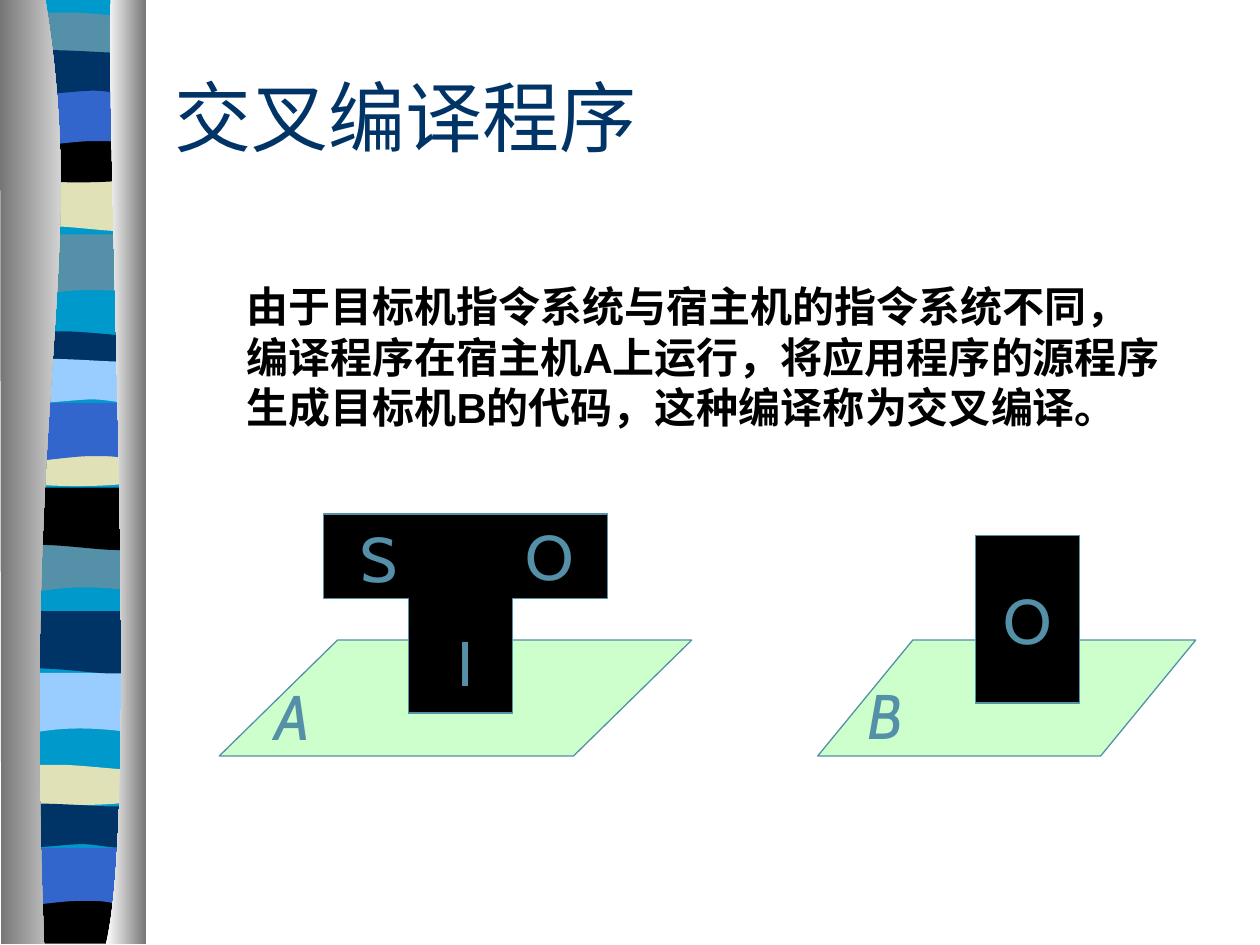
from lxml.etree import SubElement
from pptx import Presentation
from pptx.dml.color import RGBColor
from pptx.enum.shapes import MSO_SHAPE
from pptx.enum.text import MSO_ANCHOR, MSO_AUTO_SIZE, PP_ALIGN
from pptx.oxml.ns import qn
from pptx.util import Inches, Pt

COLORS = {
    "cyan": "0099CC", "steel": "5490A8", "sand": "E1E1B7", "black": "000000",
    "blue": "3366CC", "navy": "003366", "sky": "99CCFF", "mint": "CCFFCC",
    "gray": "767676", "white": "FFFFFF",
}

BAND = 0.97
WAVES = {
    "curl": [(0, 0), (BAND, 0), (BAND, 0.47), (0.3, 0.38, 0.16, 0.54, 0, 0.47)],
    "flag": [(0, 0), (BAND, 0), (BAND, 0.47), (0.81, 0.55, 0.3, 0.41, 0, 0.47)],
    "ripple": [(BAND, 0), (BAND, 0.25), (0.81, 0.29, 0.16, 0.29, 0, 0.25), (0, 0),
               (0.07, -0.04, 0.21, -0.04, 0.38, -0.04), (0.54, -0.04, 0.85, 0, BAND, 0)],
    "hollow": [(BAND, 0), (BAND, 0.33), (0.81, 0.38, 0.16, 0.38, 0, 0.33), (0, 0),
               (0.6, 0.05, 0.77, 0, BAND, 0)],
    "arch": [(0, 0), (BAND, 0), (BAND, 0.47), (0.82, 0.42, 0.76, 0.42, 0.6, 0.42),
             (0.44, 0.42, 0.15, 0.47, 0, 0.47)],
    "swell": [(BAND, 0), (BAND, 0.3), (0.91, 0.36, 0.76, 0.3, 0.6, 0.3),
              (0.44, 0.3, 0.1, 0.36, 0, 0.3), (0, 0),
              (0.14, -0.05, 0.66, 0, 0.82, 0), (0.98, 0, 0.94, 0, BAND, 0)],
    "end": [(BAND, 0), (BAND, 0.37), (0, 0.37), (0, 0), (0.59, 0.05, 0.76, 0, BAND, 0)],
}
RIBBON = [
    ("curl", "steel", 0.14, 1.86), ("flag", "sand", 0.18, 1.34),
    ("ripple", "steel", 0.18, 0.14), ("hollow", "black", 0.14, 1.08),
    ("arch", "blue", 0.14, 0.7), ("swell", "navy", 0.14, 0.42),
    ("curl", "steel", 0.09, 4.22), ("flag", "black", 0.13, 3.87),
    ("ripple", "navy", 0.13, 2.67), ("hollow", "sand", 0.13, 3.49),
    ("arch", "blue", 0.13, 3.2), ("swell", "sky", 0.13, 2.87),
    ("curl", "sky", 0.05, 5.34), ("flag", "navy", 0.1, 4.85),
    ("ripple", "sand", 0.09, 6.11), ("end", "black", 0.09, 7.12),
    ("arch", "blue", 0.04, 6.73), ("swell", "navy", 0.05, 6.4),
]
LEFT_CURTAIN = [(0.36, 0), (0.71, 2.16, 0.17, 2.96, 0.35, 7.49), (0.01, 7.49), (0, 0)]
RIGHT_CURTAIN = [(0.88, 0), (0.84, 1.25, 1.11, 6.46, 0.84, 7.49), (1.16, 7.49), (1.16, 0)]
T_DIAGRAM = [(2.57, 4.08), (2.57, 4.75), (3.24, 4.75), (3.24, 5.66),
             (4.07, 5.66), (4.07, 4.75), (4.82, 4.75), (4.82, 4.08)]


def rgb(color):
    return RGBColor.from_string(COLORS[color])


def bend(shape, parts):
    segments = iter(list(shape._element.iter(qn("a:lnTo"))))
    for part in parts[1:]:
        first = next(segments)
        if len(part) == 2:
            continue
        curve = SubElement(first.getparent(), qn("a:cubicBezTo"))
        first.addprevious(curve)
        for segment in (first, next(segments), next(segments)):
            curve.append(segment[0])
            segment.getparent().remove(segment)


class SlideBuilder:
    font = "Cabin"
    letter_size = 36
    accent = "steel"

    def __init__(self, slide):
        self.slide = slide

    def paint(self, shape, fill, outlined):
        shape.shadow.inherit = False
        if isinstance(fill, tuple):
            shape.fill.gradient()
            shape.fill.gradient_angle = 0
            for stop, color in zip(shape.fill.gradient_stops, fill):
                stop.color.rgb = rgb(color)
        else:
            shape.fill.solid()
            shape.fill.fore_color.rgb = rgb(fill)
        if outlined:
            shape.line.color.rgb = rgb(self.accent)
            shape.line.width = Pt(0.75)
        else:
            shape.line.fill.background()

    def outline(self, parts, fill, left=0, top=0, outlined=False):
        points = [(Inches(left + x), Inches(top + y))
                  for part in parts for x, y in zip(part[::2], part[1::2])]
        builder = self.slide.shapes.build_freeform(*points[0])
        builder.add_line_segments(points[1:], close=True)
        shape = builder.convert_to_shape()
        bend(shape, parts)
        self.paint(shape, fill, outlined)

    def preset(self, kind, box, fill, slant=None):
        shape = self.slide.shapes.add_shape(kind, *map(Inches, box))
        if slant is not None:
            shape.adjustments[0] = slant
        self.paint(shape, fill, True)
        return shape

    def run(self, paragraph, text, size, font, color, bold=False, italic=False):
        run = paragraph.add_run()
        run.text = text
        run.font.size = Pt(size)
        run.font.name = font
        run.font.bold = bold
        run.font.italic = italic
        run.font.color.rgb = rgb(color)

    def fill_letter(self, frame, letter, italic=False):
        frame.word_wrap = False
        frame.vertical_anchor = MSO_ANCHOR.MIDDLE
        paragraph = frame.paragraphs[0]
        paragraph.alignment = PP_ALIGN.CENTER
        self.run(paragraph, letter, self.letter_size, self.font, self.accent, italic=italic)

    def letter(self, letter, left, top, width, italic=False):
        box = self.slide.shapes.add_textbox(*map(Inches, (left, top, width, 0.7)))
        self.fill_letter(box.text_frame, letter, italic)
        box.text_frame.auto_size = MSO_AUTO_SIZE.SHAPE_TO_FIT_TEXT

    def text(self, lines, box, size, font, color, bold=False, indent=0, before=0,
             anchor=MSO_ANCHOR.TOP):
        frame = self.slide.shapes.add_textbox(*map(Inches, box)).text_frame
        frame.word_wrap = True
        frame.vertical_anchor = anchor
        paragraph = frame.paragraphs[0]
        paragraph.space_before = Pt(before)
        paragraph._p.get_or_add_pPr().set("marL", str(Inches(indent)))
        for number, line in enumerate(lines):
            if number:
                paragraph.add_line_break()
            self.run(paragraph, line, size, font, color, bold)


def main():
    deck = Presentation()
    deck.slide_width, deck.slide_height = Inches(10), Inches(7.5)
    page = SlideBuilder(deck.slides.add_slide(deck.slide_layouts[6]))

    page.outline([(0.14, 0), (1.11, 0), (1.11, 7.46), (0.14, 7.46)], "cyan")
    for wave, color, left, top in RIBBON:
        page.outline(WAVES[wave], color, left, top)
    page.outline(LEFT_CURTAIN, ("gray", "white"))
    page.outline(RIGHT_CURTAIN, ("white", "gray"))

    page.preset(MSO_SHAPE.PARALLELOGRAM, (6.49, 5.08, 3, 0.92), "mint", 0.82)
    page.preset(MSO_SHAPE.PARALLELOGRAM, (1.74, 5.08, 3.75, 0.92), "mint", 1.02)
    page.text(["由于目标机指令系统与宿主机的指令系统不同，",
               "编译程序在宿主机A上运行，将应用程序的源程序生成目标机B的代码，这种编译称为交叉编译。"],
              (1.45, 2.18, 8.04, 1.5), 24, "Arial", "black", bold=True, indent=0.41, before=3)

    page.outline(T_DIAGRAM, "black", outlined=True)
    page.letter("S", 2.76, 4.07, 0.47)
    page.letter("O", 4.07, 4.06, 0.59)
    page.letter("I", 3.51, 4.9, 0.37)
    target_code = page.preset(MSO_SHAPE.RECTANGLE, (7.74, 4.25, 0.83, 1.33), "black")
    page.fill_letter(target_code.text_frame, "O")
    page.letter("A", 2.08, 5.33, 0.48, italic=True)
    page.letter("B", 6.78, 5.32, 0.5, italic=True)

    page.text(["交叉编译程序"], (1.29, 0.5, 8.5, 0.83), 44, "Times New Roman", "navy",
              anchor=MSO_ANCHOR.MIDDLE)
    deck.save("out.pptx")


if __name__ == "__main__":
    main()
